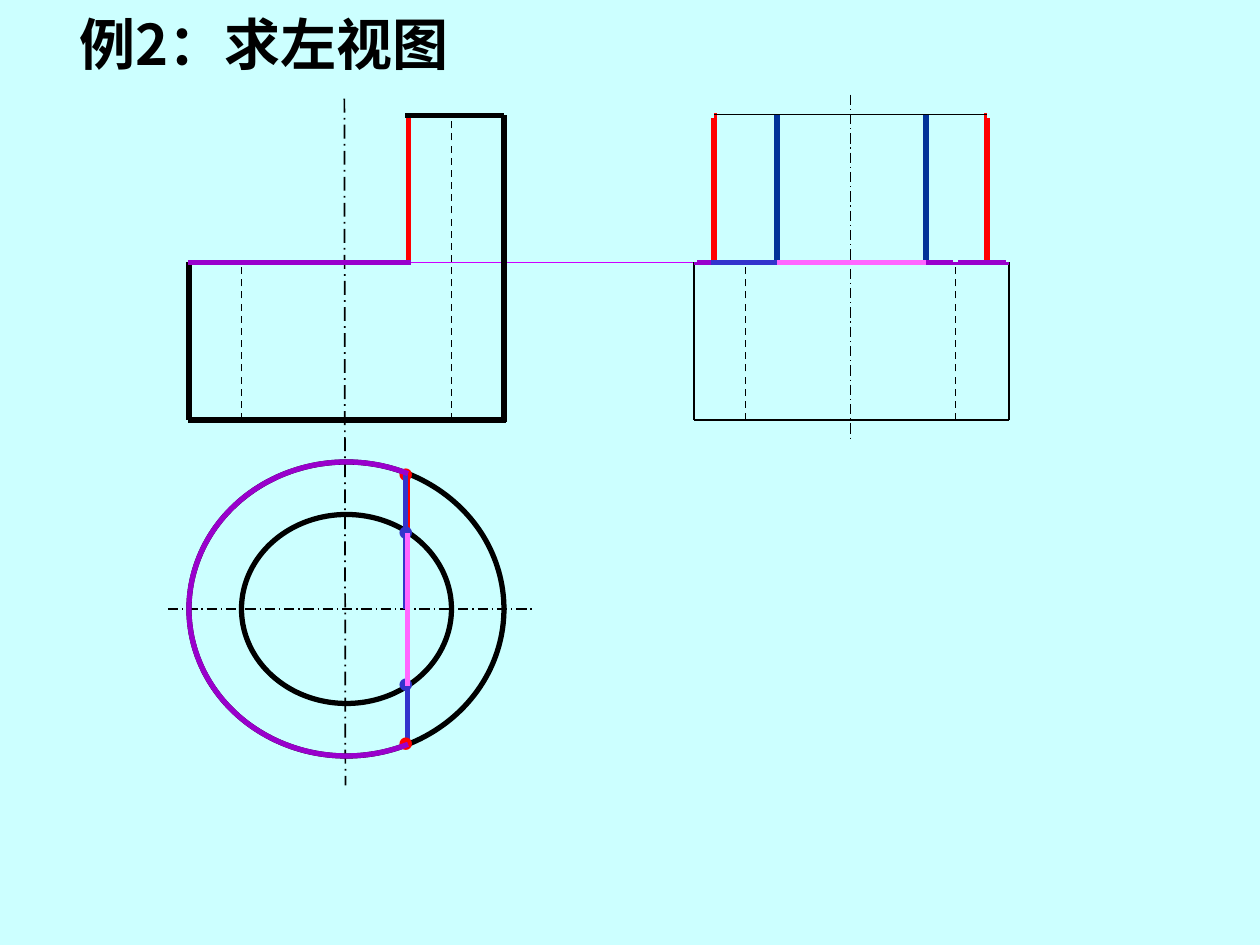
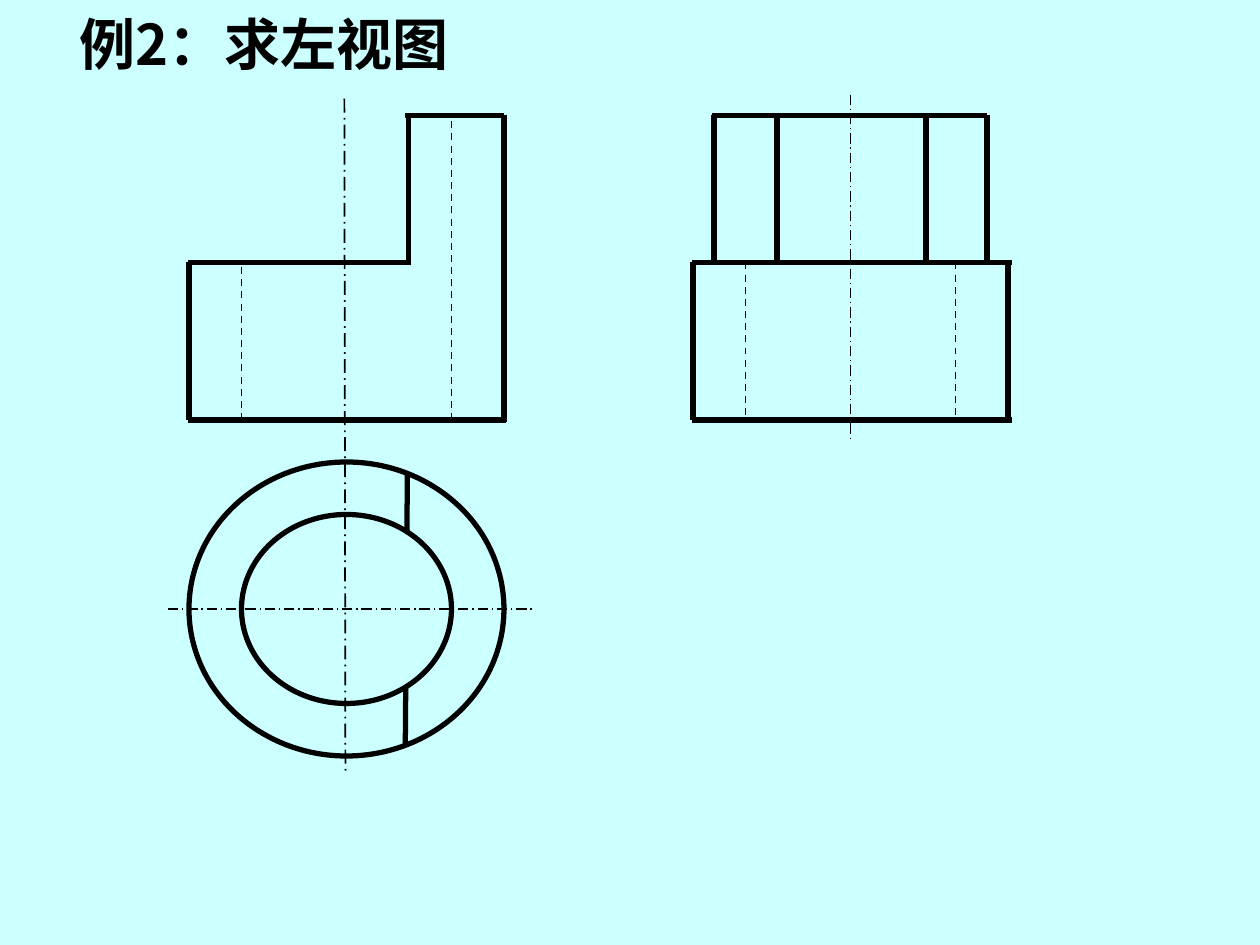
from dataclasses import dataclass
from math import cos, radians, sin

from pptx import Presentation
from pptx.dml.color import RGBColor
from pptx.enum.dml import MSO_LINE
from pptx.enum.shapes import MSO_CONNECTOR, MSO_SHAPE
from pptx.enum.text import MSO_ANCHOR, MSO_AUTO_SIZE, PP_ALIGN
from pptx.oxml.ns import qn
from pptx.util import Inches, Pt


@dataclass(frozen=True)
class Theme:
    paper: str = "CCFFFF"
    ink: str = "000000"
    red: str = "FF0000"
    navy: str = "003399"
    blue: str = "3333CC"
    purple: str = "9900CC"
    violet: str = "CC00FF"
    pink: str = "FF66FF"
    font: str = "Noto Sans CJK SC"
    title_size: int = 32
    dot_size: int = 8


theme = Theme()
STYLES = {
    "edge": (3, None),
    "thin": (1, None),
    "ray": (0.75, None),
    "hidden": (1, MSO_LINE.DASH),
    "axis": (1, MSO_LINE.LONG_DASH_DOT),
    "fine axis": (0.75, MSO_LINE.LONG_DASH_DOT),
}

deck = Presentation()
deck.slide_width, deck.slide_height = Inches(10), Inches(7.5)
CELL = deck.slide_width / 120


def draw_lines(page, lines):
    for x1, y1, x2, y2, color, style in lines:
        ends = [round(value * CELL) for value in (x1, y1, x2, y2)]
        line = page.shapes.add_connector(MSO_CONNECTOR.STRAIGHT, *ends)
        width, dash = STYLES[style]
        line.line.color.rgb = RGBColor.from_string(color)
        line.line.width = Pt(width)
        if dash:
            line.line.dash_style = dash
        properties = line._element.spPr
        properties.append(properties.makeelement(qn("a:effectLst"), {}))


def write_text(page, place, words, size, color, align, anchor):
    box = page.shapes.add_textbox(*[round(value * CELL) for value in place])
    box.text_frame.word_wrap = False
    box.text_frame.auto_size = MSO_AUTO_SIZE.SHAPE_TO_FIT_TEXT
    box.text_frame.vertical_anchor = anchor
    para = box.text_frame.paragraphs[0]
    para.alignment = align
    span = para.add_run()
    span.text = words
    span.font.name = theme.font
    span.font.size = Pt(size)
    span.font.bold = True
    span.font.color.rgb = RGBColor.from_string(color)
    fonts = span._r.get_or_add_rPr()
    fonts.append(fonts.makeelement(qn("a:ea"), {"typeface": theme.font}))


LEFT, RIGHT, MIDDLE, CUT = 18, 48, 33, 38.8
TOP, STEP, BASE, CENTRE = 11, 25, 40, 58
HOLE_LEFT, HOLE_RIGHT = 23, 43
SIDE_LEFT, SIDE_RIGHT, SIDE_MIDDLE = 66.1, 96.1, 81
SIDE_CUTS = (68, 94)
SIDE_HOLES = (71, 91)
SIDE_BORES = (74, 88.2)
CUT_TOP, CUT_BOTTOM = 45, 71

side_axis = (SIDE_MIDDLE, 9, SIDE_MIDDLE, 41.8, theme.ink, "fine axis")
backgrounds = [
    [(CUT, 45.3, CUT, 70.7, theme.red, "edge"),
     (38.6, STEP, 96, STEP, theme.violet, "ray"),
     side_axis,
     *[(x, STEP, x, 10.8, theme.red, "edge") for x in SIDE_CUTS]],
    [(CUT, CUT_TOP, 38.6, CUT_BOTTOM, theme.ink, "edge"), side_axis],
]

construction = [
    *[(SIDE_LEFT, y, SIDE_RIGHT, y, theme.ink, "thin") for y in (10.9, BASE)],
    *[(x, TOP, x, BASE, theme.ink, "thin") for x in (SIDE_LEFT, SIDE_RIGHT)],
    *[(x, BASE, x, TOP, theme.ink, "hidden") for x in SIDE_HOLES],
    *[(x, STEP, x, TOP, theme.navy, "edge") for x in SIDE_BORES],
    (SIDE_MIDDLE, STEP, SIDE_CUTS[1], STEP, theme.blue, "edge"),
    (CUT, CENTRE, CUT, 70.8, theme.blue, "edge"),
]
trimming = [
    (SIDE_LEFT, STEP, SIDE_RIGHT, STEP, theme.purple, "edge"),
    *[(x, TOP, x, STEP, theme.paper, "edge")
      for x in (SIDE_LEFT, SIDE_RIGHT, *SIDE_HOLES)],
    (SIDE_CUTS[0], TOP, SIDE_LEFT, TOP, theme.paper, "edge"),
    (SIDE_CUTS[1], TOP, SIDE_RIGHT, TOP, theme.paper, "edge"),
    (67.7, STEP, 80.8, STEP, theme.blue, "edge"),
    (38.6, CUT_TOP, 38.6, CENTRE, theme.blue, "edge"),
    (39.1, STEP, 17.9, STEP, theme.purple, "edge"),
]
bore_marks = [
    (CUT, 50.8, CUT, CENTRE, theme.pink, "edge"),
    (CUT, CENTRE, CUT, 65.3, theme.pink, "edge"),
    *[(x, STEP, SIDE_MIDDLE, STEP, theme.pink, "edge") for x in SIDE_BORES],
]
dots = [(49.3, theme.blue), (63.8, theme.blue), (69.4, theme.red), (43.8, theme.red)]

finished_side = [
    *[(65.9, y, 96.4, y, theme.ink, "edge") for y in (STEP, BASE)],
    *[(x, STEP, x, BASE, theme.ink, "edge") for x in (66, 96)],
    (67.8, TOP, SIDE_CUTS[1], TOP, theme.ink, "edge"),
    *[(x, TOP, x, STEP, theme.ink, "edge") for x in (*SIDE_CUTS, *SIDE_BORES)],
    *[(x, STEP, x, BASE, theme.ink, "hidden") for x in SIDE_HOLES],
]

pages = []
for background, step_color, axis_end in zip(backgrounds, (theme.red, theme.ink), (74.8, 73.8)):
    page = deck.slides.add_slide(deck.slide_layouts[6])
    pages.append(page)
    page.background.fill.solid()
    page.background.fill.fore_color.rgb = RGBColor.from_string(theme.paper)
    draw_lines(page, background)
    write_text(page, (6.4, 0.3, 40.1, 7.7), "例2：求左视图", theme.title_size,
               theme.ink, PP_ALIGN.LEFT, MSO_ANCHOR.TOP)
    for radius_x, radius_y, filled in ((10, 9, True), (15, 14, False)):
        place = (MIDDLE - radius_x, CENTRE - radius_y, 2 * radius_x, 2 * radius_y)
        ring = page.shapes.add_shape(MSO_SHAPE.OVAL, *[round(value * CELL) for value in place])
        ring.shadow.inherit = False
        if filled:
            ring.fill.solid()
            ring.fill.fore_color.rgb = RGBColor.from_string(theme.paper)
        else:
            ring.fill.background()
        ring.line.color.rgb = RGBColor.from_string(theme.ink)
        ring.line.width = Pt(STYLES["edge"][0])
    draw_lines(page, [
        (17.9, BASE, 48.2, BASE, theme.ink, "edge"),
        (RIGHT, TOP, RIGHT, 40.2, theme.ink, "edge"),
        (38.9, TOP, 38.9, STEP, step_color, "edge"),
        (39.1, STEP, 17.9, STEP, theme.ink, "edge"),
        (LEFT, STEP, LEFT, BASE, theme.ink, "edge"),
        (38.6, TOP, RIGHT, TOP, theme.ink, "edge"),
        (32.8, 9.4, 32.9, axis_end, theme.ink, "axis"),
        (16, CENTRE, 51, CENTRE, theme.ink, "fine axis"),
        (HOLE_LEFT, BASE, HOLE_LEFT, STEP, theme.ink, "hidden"),
        (HOLE_RIGHT, BASE, HOLE_RIGHT, TOP, theme.ink, "hidden"),
    ])

analysis, solution = pages
draw_lines(analysis, construction)
for top, color in dots:
    write_text(analysis, (36.8, top, 3.5, 2.9), "●", theme.dot_size, color,
               PP_ALIGN.CENTER, MSO_ANCHOR.MIDDLE)
draw_lines(analysis, trimming)

arc = [(round((MIDDLE + 15 * cos(radians(angle))) * CELL),
        round((CENTRE - 14 * sin(radians(angle))) * CELL))
       for angle in range(67, 294, 2)]
outline = analysis.shapes.build_freeform(*arc[0])
outline.add_line_segments(arc[1:], close=False)
rim = outline.convert_to_shape()
rim.shadow.inherit = False
rim.fill.background()
rim.line.color.rgb = RGBColor.from_string(theme.purple)
rim.line.width = Pt(STYLES["edge"][0])
draw_lines(analysis, bore_marks)

draw_lines(solution, finished_side)

deck.save("out.pptx")
